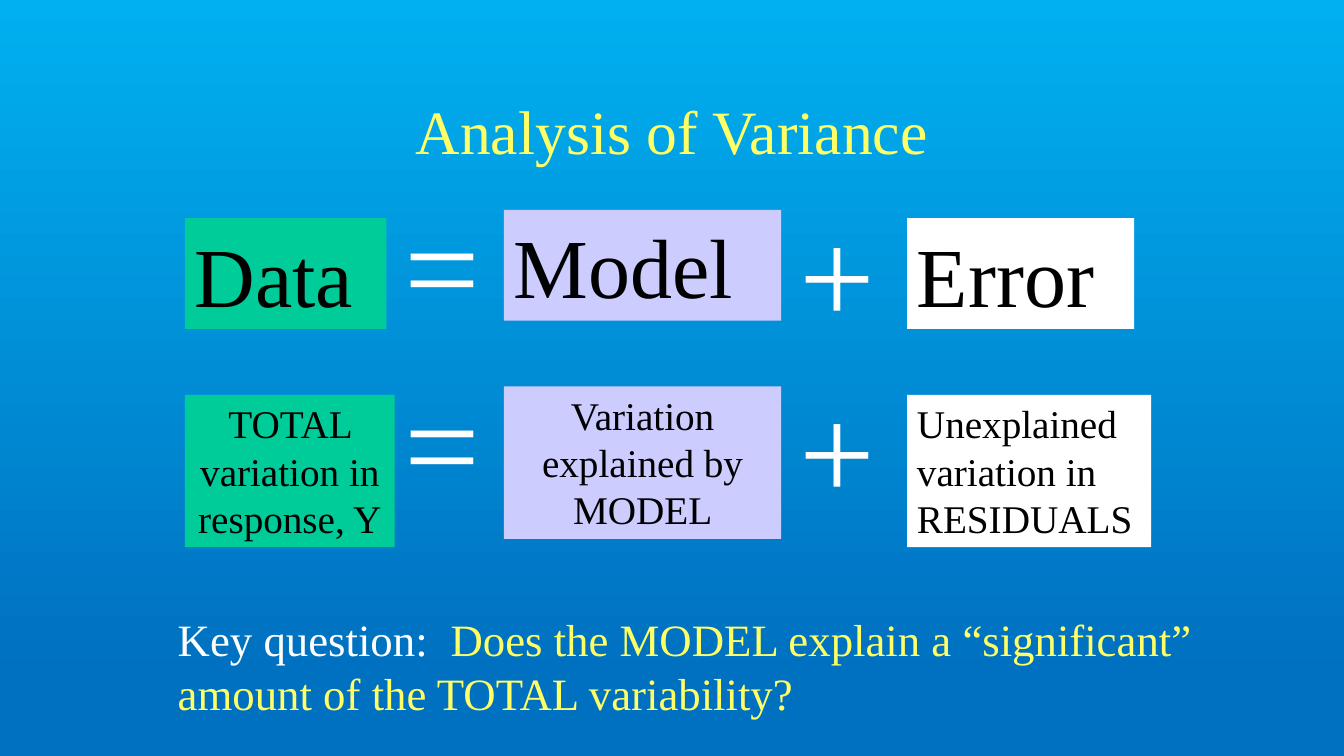
from dataclasses import dataclass

from lxml.etree import SubElement
from pptx import Presentation
from pptx.dml.color import RGBColor
from pptx.enum.shapes import MSO_SHAPE
from pptx.enum.text import MSO_ANCHOR, MSO_AUTO_SIZE, PP_ALIGN
from pptx.oxml.ns import qn
from pptx.util import Cm, Pt

FONT = "Times New Roman"
BLACK, WHITE, YELLOW = "000000", "FFFFFF", "FFFF66"
GREEN, LILAC = "00CC99", "CCCCFF"


@dataclass
class Term:
    """One column of the equation: a heading and its explanation below."""
    left: float
    rise: float
    fill: str
    heading: str
    heading_width: float
    explanation: str
    explanation_width: float
    alignment: PP_ALIGN


@dataclass
class Operator:
    """A sign between two terms; its top is relative to the row."""
    sign: str
    left: float
    offset: float


TERMS = [
    Term(4.66, 0, GREEN, "Data", 5.08,
         "TOTAL variation in response, Y", 5.29, PP_ALIGN.CENTER),
    Term(12.7, 0.21, LILAC, "Model", 6.99,
         "Variation explained by MODEL", 6.99, PP_ALIGN.CENTER),
    Term(22.86, 0, WHITE, "Error", 5.72,
         "Unexplained variation in RESIDUALS", 6.15, PP_ALIGN.LEFT),
]
OPERATORS = [Operator("=", 9.95, -1.05), Operator("+", 19.9, -0.84)]
HEADING_TOP, EXPLANATION_TOP = 5.5, 9.95


def color(value: str) -> RGBColor:
    """Turn a hex string into a colour."""
    return RGBColor.from_string(value)


def format_run(run, size: float, value: str) -> None:
    """Set the font, size and colour of a run."""
    run.font.name = FONT
    run.font.size = Pt(size)
    run.font.color.rgb = color(value)


def set_frame(shape, alignment: PP_ALIGN = PP_ALIGN.LEFT):
    """Prepare a growing, wrapped frame and return its paragraph."""
    frame = shape.text_frame
    frame.word_wrap = True
    frame.auto_size = MSO_AUTO_SIZE.SHAPE_TO_FIT_TEXT
    frame.vertical_anchor = MSO_ANCHOR.TOP
    paragraph = frame.paragraphs[0]
    paragraph.alignment = alignment
    # Spacing as a share of the line has no public setter.
    spacing = SubElement(paragraph._p.get_or_add_pPr(), qn("a:spcBef"))
    SubElement(spacing, qn("a:spcPct")).set("val", "50000")
    return paragraph


def add_box(slide, left: float, top: float, width: float, height: float,
            fill: str, text: str, size: float, alignment: PP_ALIGN) -> None:
    """Add a filled rectangle with black text."""
    shape = slide.shapes.add_shape(
        MSO_SHAPE.RECTANGLE, Cm(left), Cm(top), Cm(width), Cm(height))
    shape.shadow.inherit = False
    shape.fill.solid()
    shape.fill.fore_color.rgb = color(fill)
    shape.line.fill.background()
    paragraph = set_frame(shape, alignment)
    paragraph.text = text
    format_run(paragraph.runs[0], size, BLACK)


def add_text(slide, left: float, top: float, width: float, height: float,
             parts: list[tuple[str, str]], size: float) -> None:
    """Add a text box made of (text, colour) parts."""
    box = slide.shapes.add_textbox(Cm(left), Cm(top), Cm(width), Cm(height))
    paragraph = set_frame(box)
    for text, value in parts:
        run = paragraph.add_run()
        run.text = text
        format_run(run, size, value)


def set_background(slide) -> None:
    """Fill the background from light blue down to dark blue."""
    fill = slide.background.fill
    fill.gradient()
    fill.gradient_angle = 270
    for stop, position, value in zip(
            fill.gradient_stops, (0, 0.9), ("00B0F0", "0070C0")):
        stop.position = position
        stop.color.rgb = color(value)


def set_title(slide, text: str) -> None:
    """Place and format the title."""
    title = slide.shapes.title
    title.left, title.top = Cm(2.54), Cm(1.69)
    title.width, title.height = Cm(28.79), Cm(3.18)
    title.text_frame.text = text
    title.text_frame.vertical_anchor = MSO_ANCHOR.MIDDLE
    paragraph = title.text_frame.paragraphs[0]
    paragraph.alignment = PP_ALIGN.CENTER
    format_run(paragraph.runs[0], 44, YELLOW)


presentation = Presentation()
presentation.slide_width, presentation.slide_height = Cm(33.87), Cm(19.05)
slide = presentation.slides.add_slide(presentation.slide_layouts[5])
set_background(slide)
set_title(slide, "Analysis of Variance")

for term in TERMS:
    add_box(slide, term.left, HEADING_TOP - term.rise, term.heading_width, 2.79,
            term.fill, term.heading, 60, PP_ALIGN.LEFT)
    add_box(slide, term.left, EXPLANATION_TOP - term.rise,
            term.explanation_width, 3.84,
            term.fill, term.explanation, 28, term.alignment)
for operator in OPERATORS:
    for row_top in (HEADING_TOP, EXPLANATION_TOP):
        add_text(slide, operator.left, row_top + operator.offset, 3.39, 4.32,
                 [(operator.sign, WHITE)], 96)

add_text(slide, 4.23, 15.29, 27.94, 3, [
    ("Key question: ", WHITE),
    (" Does the MODEL explain a “significant” amount of the TOTAL variability?",
     YELLOW),
], 32)
presentation.save("out.pptx")
